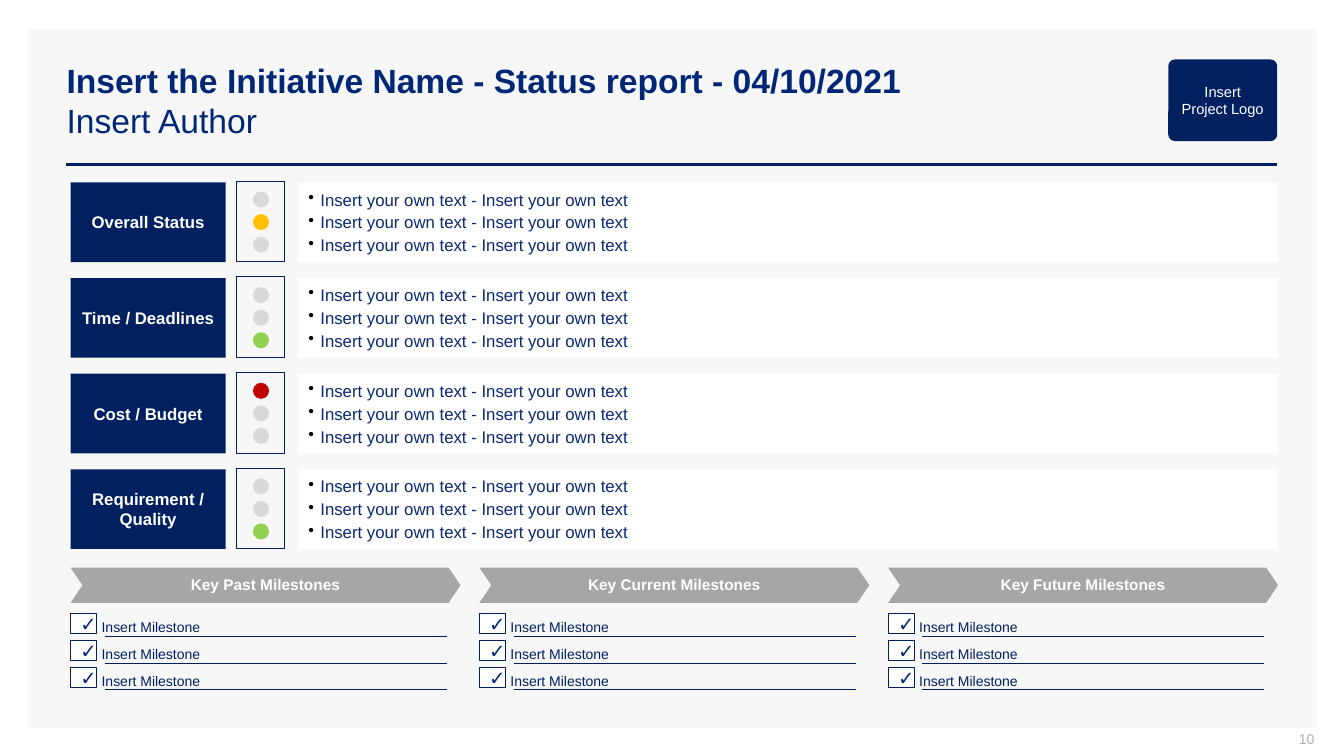
from dataclasses import dataclass

import lxml.etree
import pptx
import pptx.dml.color
import pptx.dml.fill
import pptx.enum.shapes
import pptx.enum.text
import pptx.oxml.ns
import pptx.shapes.autoshape
import pptx.shapes.shapetree
import pptx.slide
import pptx.text.text
import pptx.util

Pt = pptx.util.Pt
Kind = pptx.enum.shapes.MSO_SHAPE
Align = pptx.enum.text.PP_ALIGN
Anchor = pptx.enum.text.MSO_ANCHOR

NAVY, TITLE_BLUE, BULLET_TEXT = "002060", "002776", "0C2870"
WHITE, PANEL, GREY, LIGHT_OFF = "FFFFFF", "F7F7F7", "A6A6A6", "D9D9D9"
RED, AMBER, GREEN = "C00000", "FFC000", "92D050"

LEFT = 50.4
STATUS_TOP, STATUS_PITCH, STATUS_HEIGHT = 130.3, 68.3, 56.9
LIGHT_SIZE, LIGHT_PITCH = 11.5, 16.1
COLUMN_PITCH = 292
MILESTONE_TOP, MILESTONE_PITCH = 438.5, 19.2


@dataclass(frozen=True)
class Box:
    left: float
    top: float
    width: float
    height: float


@dataclass(frozen=True)
class TextStyle:
    size: float
    color: str
    bold: bool = False


@dataclass(frozen=True)
class Status:
    label: str
    lights: tuple[str, str, str]
    bullets: tuple[str, ...] = ("Insert your own text - Insert your own text",) * 3


@dataclass(frozen=True)
class MilestoneColumn:
    heading: str
    milestones: tuple[str, ...] = ("Insert Milestone",) * 3


STATUSES = (
    Status("Overall Status", (LIGHT_OFF, AMBER, LIGHT_OFF)),
    Status("Time / Deadlines", (LIGHT_OFF, LIGHT_OFF, GREEN)),
    Status("Cost / Budget", (RED, LIGHT_OFF, LIGHT_OFF)),
    Status("Requirement / Quality", (LIGHT_OFF, LIGHT_OFF, GREEN)),
)
COLUMNS = (
    MilestoneColumn("Key Past Milestones"),
    MilestoneColumn("Key Current Milestones"),
    MilestoneColumn("Key Future Milestones"),
)


def rgb(color: str) -> pptx.dml.color.RGBColor:
    return pptx.dml.color.RGBColor.from_string(color)


def fill_solid(fill: pptx.dml.fill.FillFormat, color: str) -> None:
    fill.solid()
    fill.fore_color.rgb = rgb(color)


def add_shape(
    shapes: pptx.shapes.shapetree.SlideShapes | pptx.shapes.shapetree.GroupShapes,
    kind: Kind,
    box: Box,
    fill: str | None = None,
    line: str | None = None,
    adjustment: float | None = None,
) -> pptx.shapes.autoshape.Shape:
    shape = shapes.add_shape(kind, Pt(box.left), Pt(box.top), Pt(box.width), Pt(box.height))
    shape.shadow.inherit = False
    if fill:
        fill_solid(shape.fill, fill)
    else:
        shape.fill.background()
    if line:
        fill_solid(shape.line.fill, line)
        shape.line.width = Pt(0.75)
    else:
        shape.line.fill.background()
    if adjustment is not None:
        shape.adjustments[0] = adjustment
    return shape


def add_line(slide: pptx.slide.Slide, left: float, right: float, y: float, width: float) -> None:
    connector = slide.shapes.add_connector(
        pptx.enum.shapes.MSO_CONNECTOR.STRAIGHT, Pt(left), Pt(y), Pt(right), Pt(y)
    )
    fill_solid(connector.line.fill, NAVY)
    connector.line.width = Pt(width)
    lxml.etree.SubElement(connector.element.spPr, pptx.oxml.ns.qn("a:effectLst"))


def add_run(paragraph: pptx.text.text._Paragraph, text: str, style: TextStyle) -> None:
    run = paragraph.add_run()
    run.text = text
    run.font.name = "Arial"
    run.font.size = Pt(style.size)
    run.font.bold = style.bold
    run.font.color.rgb = rgb(style.color)


def prepare_frame(
    shape: pptx.shapes.autoshape.Shape,
    align: Align,
    anchor: Anchor = Anchor.MIDDLE,
    insets: tuple[float, float, float, float] = (7.2, 3.6, 7.2, 3.6),
) -> pptx.text.text._Paragraph:
    """Set wrapping, anchor and insets, and return the aligned first paragraph."""
    frame = shape.text_frame
    frame.word_wrap = True
    frame.auto_size = pptx.enum.text.MSO_AUTO_SIZE.NONE
    frame.vertical_anchor = anchor
    frame.margin_left, frame.margin_top, frame.margin_right, frame.margin_bottom = map(Pt, insets)
    paragraph = frame.paragraphs[0]
    paragraph.alignment = align
    return paragraph


def add_text_box(slide: pptx.slide.Slide, box: Box) -> pptx.shapes.autoshape.Shape:
    return slide.shapes.add_textbox(Pt(box.left), Pt(box.top), Pt(box.width), Pt(box.height))


def add_bullet_mark(paragraph: pptx.text.text._Paragraph) -> None:
    qn = pptx.oxml.ns.qn
    properties = paragraph._p.get_or_add_pPr()
    properties.set("marL", str(Pt(8.64)))
    properties.set("indent", str(-Pt(8.64)))
    color = lxml.etree.SubElement(properties, qn("a:buClr"))
    lxml.etree.SubElement(color, qn("a:srgbClr"), val="000000")
    lxml.etree.SubElement(properties, qn("a:buChar"), char="•")


def add_header(slide: pptx.slide.Slide) -> None:
    add_shape(slide.shapes, Kind.RECTANGLE, Box(20.2, 20.9, 920.2, 499), PANEL)
    add_line(slide, 47.5, 912.2, 117.4, 2)

    title = slide.shapes.title
    title.left, title.top, title.width, title.height = map(Pt, (40.3, 28.8, 871.9, 85.7))
    title.element.getparent().append(title.element)  # in front of the panel
    paragraph = prepare_frame(title, Align.LEFT)
    add_run(
        paragraph,
        "Insert the Initiative Name - Status report - 04/10/2021",
        TextStyle(24, TITLE_BLUE, bold=True),
    )
    paragraph.add_line_break()
    add_run(paragraph, "Insert Author", TextStyle(24, TITLE_BLUE))

    logo = add_shape(
        slide.shapes, Kind.ROUNDED_RECTANGLE, Box(834.5, 42.5, 77.8, 58.3), NAVY, adjustment=0.08
    )
    add_run(prepare_frame(logo, Align.CENTER), "Insert Project Logo", TextStyle(10.5, WHITE))


def add_status(slide: pptx.slide.Slide, status: Status, top: float) -> None:
    label = add_shape(slide.shapes, Kind.RECTANGLE, Box(LEFT, top, 110.9, STATUS_HEIGHT), NAVY)
    paragraph = prepare_frame(label, Align.CENTER, insets=(0, 3.6, 0, 3.6))
    add_run(paragraph, status.label, TextStyle(12, WHITE, bold=True))

    add_shape(slide.shapes, Kind.RECTANGLE, Box(169.2, top - 0.8, 33.8, 57.6), line=NAVY)
    lights = slide.shapes.add_group_shape().shapes
    for index, color in enumerate(status.lights):
        light_top = top + 6.5 + index * LIGHT_PITCH
        add_shape(lights, Kind.OVAL, Box(180.7, light_top, LIGHT_SIZE, LIGHT_SIZE), color)

    panel = add_shape(slide.shapes, Kind.RECTANGLE, Box(213.1, top, 699.5, STATUS_HEIGHT), WHITE)
    paragraph = prepare_frame(panel, Align.LEFT)
    for index, text in enumerate(status.bullets):
        if index:
            paragraph = panel.text_frame.add_paragraph()
            paragraph.alignment = Align.LEFT
            paragraph.space_before = Pt(2)
        add_bullet_mark(paragraph)
        add_run(paragraph, text, TextStyle(12, BULLET_TEXT))


def add_milestone_column(slide: pptx.slide.Slide, column: MilestoneColumn, left: float) -> None:
    heading = add_shape(
        slide.shapes, Kind.CHEVRON, Box(left, 405.4, 278.6, 25.2), GREY, adjustment=0.34
    )
    paragraph = prepare_frame(heading, Align.CENTER, insets=(0, 2.9, 0, 2.9))
    paragraph.line_spacing = Pt(12)
    add_run(paragraph, column.heading, TextStyle(11, WHITE, bold=True))

    for index, text in enumerate(column.milestones):
        top = MILESTONE_TOP + index * MILESTONE_PITCH
        checkbox = add_shape(slide.shapes, Kind.RECTANGLE, Box(left, top, 18.7, 14.4), WHITE, NAVY)
        add_run(prepare_frame(checkbox, Align.CENTER), "✓", TextStyle(14, TITLE_BLUE))
        add_line(slide, left + 24.5, left + 268.8, top + 15.8, 0.5)
        milestone = add_text_box(slide, Box(left + 15.1, top, 253.4, 19.4))
        add_run(prepare_frame(milestone, Align.LEFT, Anchor.TOP), text, TextStyle(10, NAVY))


def main() -> None:
    presentation = pptx.Presentation()
    presentation.slide_width, presentation.slide_height = Pt(960), Pt(540)
    slide = presentation.slides.add_slide(presentation.slide_layouts.get_by_name("Title Only"))
    add_header(slide)
    for index, status in enumerate(STATUSES):
        add_status(slide, status, STATUS_TOP + index * STATUS_PITCH)
    for index, column in enumerate(COLUMNS):
        add_milestone_column(slide, column, LEFT + index * COLUMN_PITCH)
    page_number = add_text_box(slide, Box(722.9, 522, 216, 15.1))
    paragraph = prepare_frame(page_number, Align.RIGHT, insets=(7.2, 0, 0, 3.6))
    add_run(paragraph, "10", TextStyle(10, "ADAFBB"))
    presentation.save("out.pptx")


if __name__ == "__main__":
    main()
